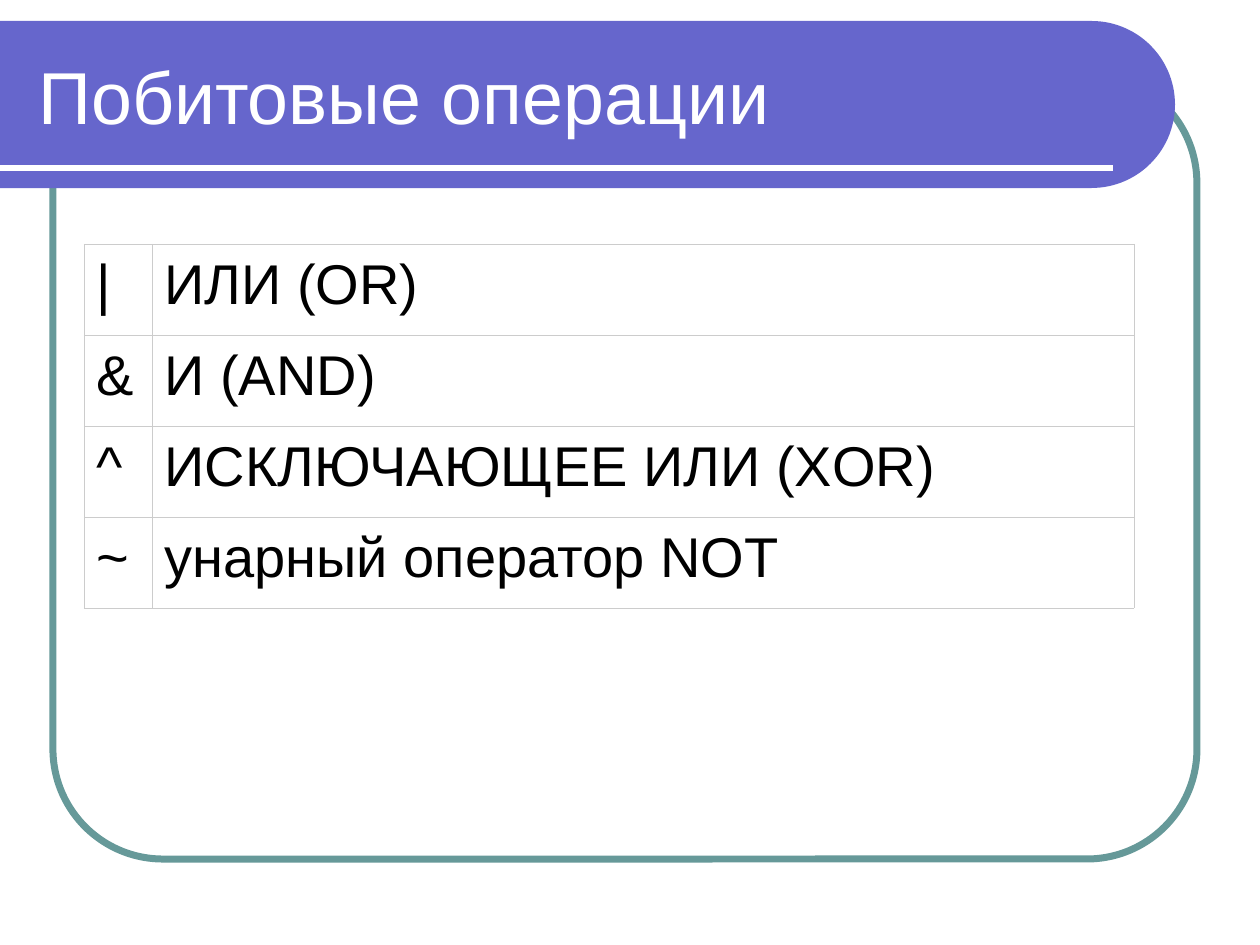
"""Build the slide on bitwise operations: title banner, rounded frame and operator table."""
import math

from lxml import etree
from pptx import Presentation
from pptx import util as u
from pptx.dml.color import RGBColor
from pptx.enum import shapes, text
from pptx.oxml.ns import qn

TITLE = "Побитовые операции"
OPERATORS = [
    ("|", "ИЛИ (OR)"),
    ("&", "И (AND)"),
    ("^", "ИСКЛЮЧАЮЩЕЕ ИЛИ (XOR)"),
    ("~", "унарный оператор NOT"),
]

WHITE = RGBColor(0xFF, 0xFF, 0xFF)
BLACK = RGBColor(0, 0, 0)
VIOLET = RGBColor(0x66, 0x66, 0xCC)
TEAL = RGBColor(0x66, 0x99, 0x99)
GREY = RGBColor(0xCC, 0xCC, 0xCC)
FONT = "Arial"

FRAME = (53, 73, 1144, 786)
BANNER_TOP, BANNER_BOTTOM, BANNER_RIGHT = 21, 188, 1175
RULE_Y, RULE_END = 168, 1113
TITLE_BOX = (26, 32, 1105, 126)
TABLE_LEFT, TABLE_TOP = 84, 244
COLUMNS, ROW_HEIGHT = (68, 982), 91
BORDER_EMU = 762


def px(n):
    return u.Emu(round(n * 914400 / 126))


def style(p, size, color):
    for r in p.runs:
        r.font.name = FONT
        r.font.size = u.Pt(size)
        r.font.color.rgb = color


def add_frame(slide):
    sp = slide.shapes.add_shape(shapes.MSO_SHAPE.ROUNDED_RECTANGLE, *map(px, FRAME))
    sp.adjustments[0] = 0.14
    sp.shadow.inherit = False
    sp.fill.background()
    sp.line.color.rgb = TEAL
    sp.line.width = u.Pt(4)


def add_banner(slide):
    radius = (BANNER_BOTTOM - BANNER_TOP) / 2
    cx, cy = BANNER_RIGHT - radius, BANNER_TOP + radius
    angles = [math.radians(a) for a in range(-90, 91, 3)]
    arc = [(px(cx + radius * math.cos(a)), px(cy + radius * math.sin(a))) for a in angles]
    builder = slide.shapes.build_freeform(0, px(BANNER_TOP))
    builder.add_line_segments(arc + [(0, px(BANNER_BOTTOM))], close=True)
    sp = builder.convert_to_shape()
    sp.shadow.inherit = False
    sp.fill.solid()
    sp.fill.fore_color.rgb = VIOLET
    sp.line.fill.background()

    rule = slide.shapes.add_connector(
        shapes.MSO_CONNECTOR.STRAIGHT, 0, px(RULE_Y), px(RULE_END), px(RULE_Y))
    rule.line.color.rgb = WHITE
    rule.line.width = u.Pt(3)
    etree.SubElement(rule._element.spPr, qn("a:effectLst"))


def add_title(slide):
    tf = slide.shapes.add_textbox(*map(px, TITLE_BOX)).text_frame
    tf.word_wrap = True
    tf.vertical_anchor = text.MSO_ANCHOR.MIDDLE
    tf.text = TITLE
    style(tf.paragraphs[0], 42, WHITE)


def add_borders(cell):
    tc_pr = cell._tc.get_or_add_tcPr()
    for side in ("lnL", "lnR", "lnT", "lnB"):
        ln = etree.SubElement(tc_pr, qn(f"a:{side}"), w=str(BORDER_EMU))
        fill = etree.SubElement(ln, qn("a:solidFill"))
        etree.SubElement(fill, qn("a:srgbClr"), val=str(GREY))


def add_operators(slide):
    table = slide.shapes.add_table(
        len(OPERATORS), len(COLUMNS), px(TABLE_LEFT), px(TABLE_TOP),
        px(sum(COLUMNS)), px(ROW_HEIGHT * len(OPERATORS))).table
    table.first_row = table.horz_banding = False
    for column, width in zip(table.columns, COLUMNS):
        column.width = px(width)
    for row, values in zip(table.rows, OPERATORS):
        row.height = px(ROW_HEIGHT)
        for cell, value in zip(row.cells, values):
            add_borders(cell)
            cell.fill.solid()
            cell.fill.fore_color.rgb = WHITE
            cell.vertical_anchor = text.MSO_ANCHOR.MIDDLE
            cell.text = value
            p = cell.text_frame.paragraphs[0]
            p.line_spacing = 0.81
            style(p, 32, BLACK)


def main():
    prs = Presentation()
    prs.slide_width, prs.slide_height = px(1260), px(945)
    slide = prs.slides.add_slide(prs.slide_layouts[6])
    add_frame(slide)
    add_banner(slide)
    add_title(slide)
    add_operators(slide)
    prs.save("out.pptx")


if __name__ == "__main__":
    main()
